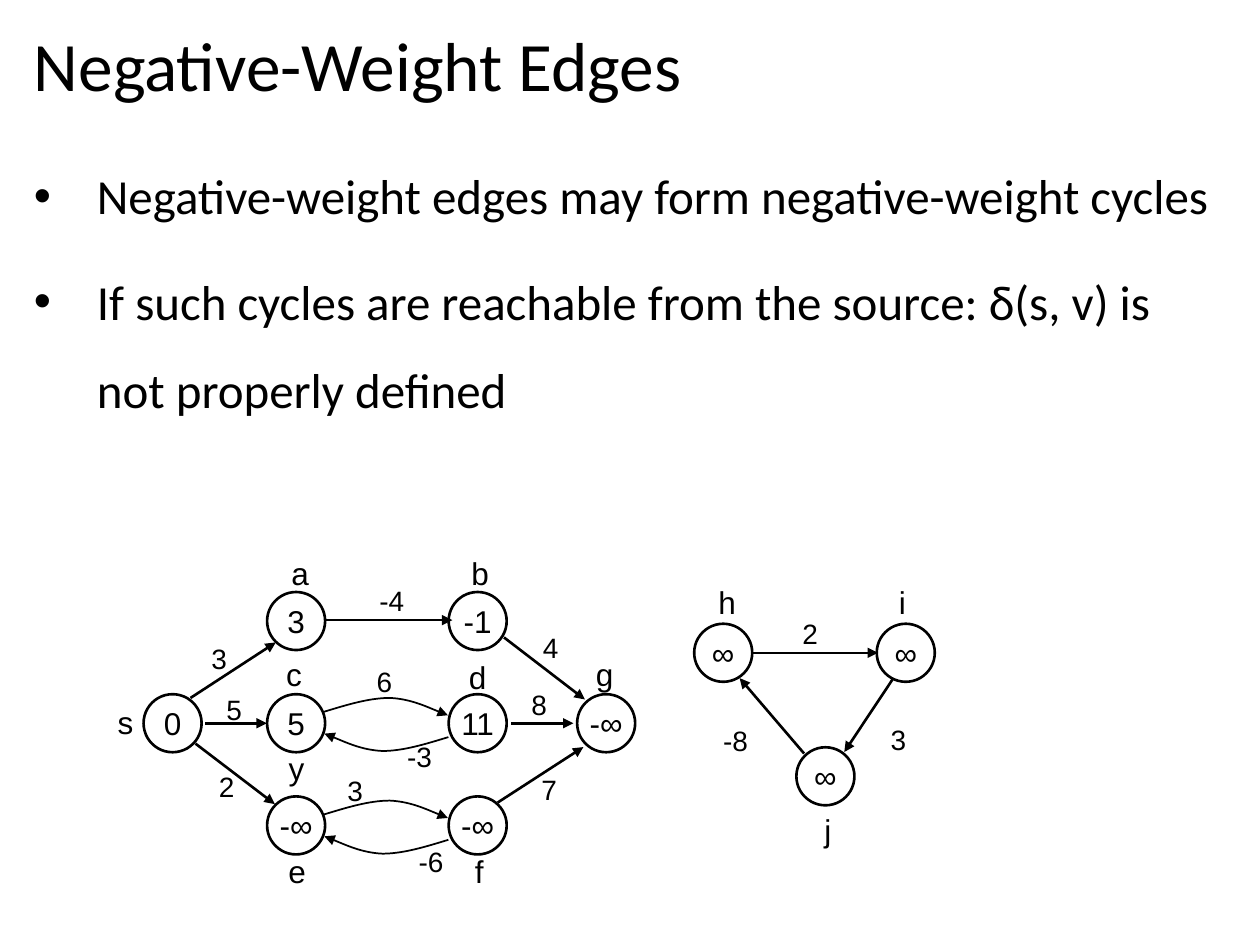
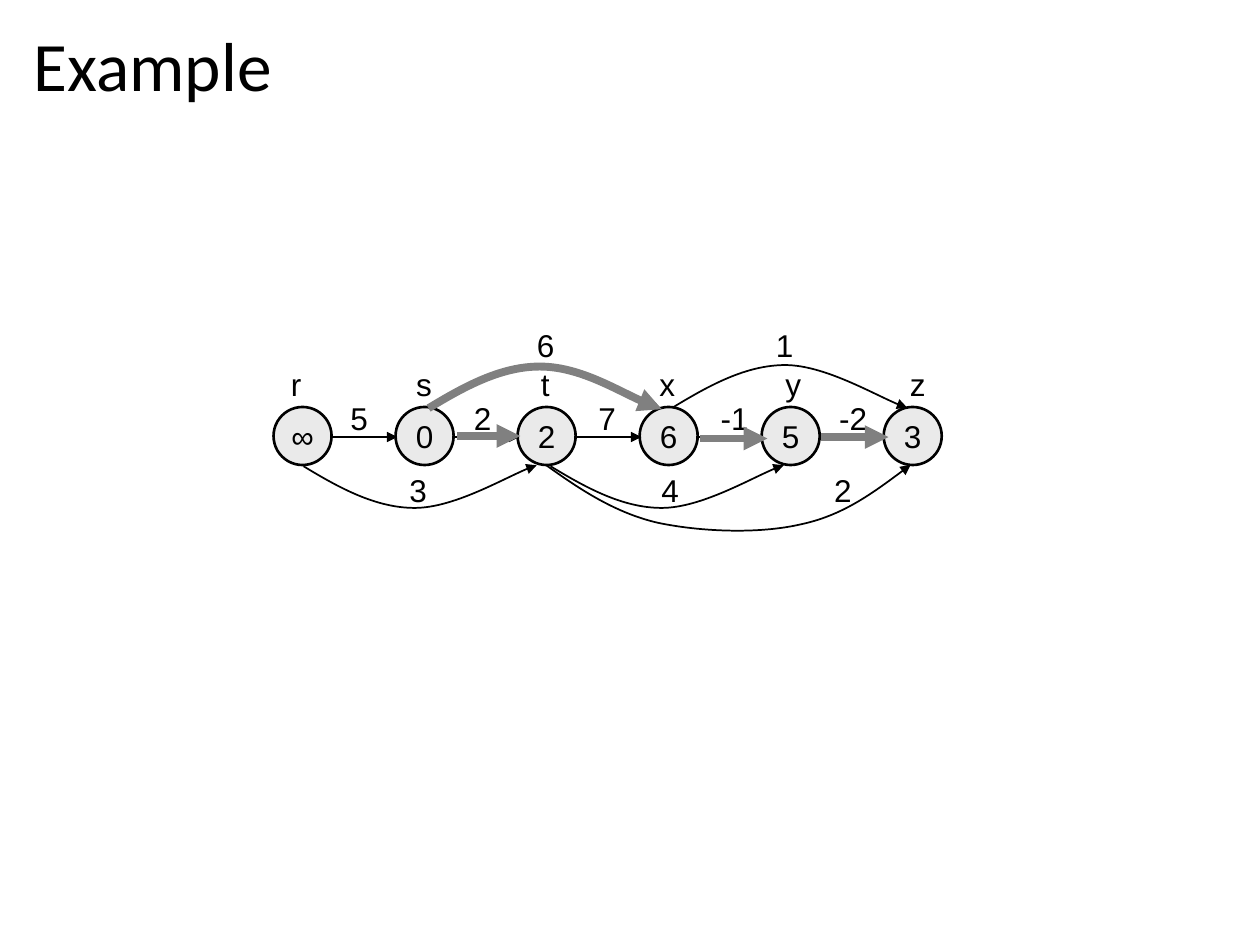
from lxml import etree
from pptx import Presentation, util as u
from pptx.dml.color import RGBColor
from pptx.enum import shapes, text
from pptx.oxml.ns import qn

# Shared look; all lengths are centimetres, sizes are points
BLACK, GREY, PALE = "000000", "808080", "EAEAEA"
TITLE_BOX = (0.43, 0.46, 24.43, 1.88)
BODY_BOX = (0.43, 2.62, 24.43, 14.55)
NODE = 1.17
TITLE_FONT = {"name": "Calibri", "size": u.Pt(39.6)}
BODY_FONT = {"name": "Calibri", "size": u.Pt(28)}

# Slide 1: negative-weight edges
POINTS = [
    "Negative-weight edges may form negative-weight cycles",
    "If such cycles are reachable from the source: δ(s, v) is not properly defined",
]
# (name, distance, node centre, name centre)
CYCLE_NODES = [
    ("s", "0", (3.48, 14.58), (2.53, 14.55)),
    ("a", "3", (5.97, 12.52), (6.05, 11.56)),
    ("b", "-1", (9.63, 12.52), (9.68, 11.56)),
    ("c", "5", (5.97, 14.58), (5.93, 13.59)),
    ("d", "11", (9.63, 14.58), (9.63, 13.64)),
    ("e", "-∞", (5.97, 16.64), (5.99, 17.55)),
    ("f", "-∞", (9.63, 16.64), (9.66, 17.55)),
    ("g", "-∞", (12.22, 14.58), (12.19, 13.59)),
    ("h", "∞", (14.58, 13.16), (14.66, 12.14)),
    ("i", "∞", (18.26, 13.16), (18.19, 12.14)),
    ("j", "∞", (16.64, 15.65), (16.69, 16.74)),
]
EXTRA_NAME = ("y", (5.98, 15.49))
# (weight, weight centre, start, end)
STRAIGHT_EDGES = [
    ("3", (4.42, 13.27), (3.84, 14.07), (5.56, 12.95)),
    ("5", (4.72, 14.29), (4.14, 14.58), (5.38, 14.58)),
    ("2", (4.57, 15.86), (3.94, 14.99), (5.54, 16.21)),
    ("-4", (7.9, 12.1), (6.55, 12.5), (9.12, 12.5)),
    ("4", (11.1, 13.04), (10.16, 12.85), (11.79, 14.1)),
    ("8", (10.87, 14.19), (10.31, 14.58), (11.56, 14.58)),
    ("7", (11.07, 15.91), (10.03, 16.18), (11.76, 15.06)),
    ("2", (16.33, 12.76), (15.14, 13.16), (17.7, 13.16)),
    ("3", (18.11, 14.9), (18.01, 13.67), (17.02, 15.16)),
    ("-8", (14.83, 14.92), (16.21, 15.19), (14.91, 13.67)),
]
# (weight, weight centre, start, direction); a return edge is the arc turned by 180°
CURVED_EDGES = [
    ("6", (7.75, 13.73), (6.53, 14.35), 1),
    ("-3", (8.46, 15.25), (9.04, 14.86), -1),
    ("3", (7.16, 15.94), (6.53, 16.42), 1),
    ("-6", (8.69, 17.36), (9.04, 16.93), -1),
]
SMALL_ARC = [(0, 0), (0.46, -0.14), (0.91, -0.28), (1.33, -0.28),
             (1.75, -0.26), (2.31, 0), (2.5, 0.07)]

# Slide 2: vertices in a row
ROW_X, ROW_Y, ROW_STEP = 6.1, 8.79, 2.46
# (name, distance, shift of the name from the node centre)
ROW_NODES = [("r", "∞", -0.13), ("s", "0", -0.01), ("t", "2", -0.03),
             ("x", "6", -0.03), ("y", "5", 0.05), ("z", "3", 0.1)]
# (weight, weight centre x) between neighbours
ROW_WEIGHTS = [("5", 7.24), ("2", 9.73), ("7", 12.24), ("-1", 14.81), ("-2", 17.2)]
# (weight, weight centre, start, side: 1 above, -1 below)
ROW_ARCS = [
    ("6", (11, 6.96), (8.61, 8.2), 1),
    ("1", (15.82, 6.96), (13.59, 8.2), 1),
    ("3", (8.43, 9.88), (6.12, 9.4), -1),
    ("4", (13.51, 9.88), (11.1, 9.4), -1),
]
BIG_ARC = [(0, 0), (0.71, -0.43), (1.45, -0.84), (2.24, -0.84),
           (3.02, -0.84), (4.29, -0.1), (4.7, 0.02)]
LONG_WEIGHT = ("2", (16.99, 9.88))
LONG_ARC = [(11, 9.37), (11.68, 9.86), (12.4, 10.34), (13.26, 10.54), (14.12, 10.72),
            (15.29, 10.77), (16.15, 10.57), (16.99, 10.39), (17.68, 9.88), (18.36, 9.37)]
TREE_ARC_START = (8.64, 8.23)
TREE_LINES = [((9.22, 8.79), (10.49, 8.79)), ((14.12, 8.84), (15.47, 8.84)),
              ((16.56, 8.81), (17.91, 8.81))]


def rgb(value):
    """Turn a hex string into a colour."""
    return RGBColor.from_string(value)


def apply(target, values):
    """Set attributes from a dict of format values."""
    for key, value in values.items():
        setattr(target, key, value)


def style_text(p, font):
    """Give a paragraph its font in black."""
    apply(p.font, font)
    p.font.color.rgb = rgb(BLACK)


def place(sp, box):
    """Move and size a placeholder."""
    apply(sp, dict(zip(("left", "top", "width", "height"), map(u.Cm, box))))


def centred(centre, width, height):
    """Return the box around a centre point, as lengths."""
    x, y = centre
    return [u.Cm(v) for v in (x - width / 2, y - height / 2, width, height)]


def write(sp, words, size):
    """Write one centred Arial line that does not wrap."""
    tf = sp.text_frame
    apply(tf, {"word_wrap": False, "vertical_anchor": text.MSO_ANCHOR.MIDDLE})
    p = tf.paragraphs[0]
    p.text, p.alignment = words, text.PP_ALIGN.CENTER
    style_text(p, {"name": "Arial", "size": u.Pt(size)})


def label(s, words, centre, size=18):
    """Add a vertex name or an edge weight around a point."""
    width = 0.65 + 0.21 * len(words)
    sp = s.shapes.add_textbox(*centred(centre, width, 1.02 if size == 18 else 0.94))
    write(sp, words, size)


def node(s, words, centre, fill=None):
    """Add a vertex circle with its distance."""
    sp = s.shapes.add_shape(shapes.MSO_SHAPE.OVAL, *centred(centre, NODE, NODE))
    sp.shadow.inherit = False
    if fill:
        sp.fill.solid()
        sp.fill.fore_color.rgb = rgb(fill)
    else:
        sp.fill.background()
    sp.line.color.rgb, sp.line.width = rgb(BLACK), u.Pt(1.5)
    write(sp, words, 18)


def arrow(s, points, width=1.0, color=BLACK):
    """Draw a straight arrow through two points, or Bezier curves through 3n + 1."""
    pts = [(u.Cm(x), u.Cm(y)) for x, y in points]
    if len(pts) == 2:
        sp = s.shapes.add_connector(shapes.MSO_CONNECTOR.STRAIGHT, *pts[0], *pts[1])
    else:
        builder = s.shapes.build_freeform(*pts[0])
        builder.add_line_segments(pts[1:], close=False)
        sp = builder.convert_to_shape()
        sp.fill.background()
        bend(sp)
    sp.line.color.rgb, sp.line.width = rgb(color), u.Pt(width)
    props = sp._element.spPr
    etree.SubElement(props.find(qn("a:ln")), qn("a:tailEnd"), type="triangle")
    etree.SubElement(props, qn("a:effectLst"))


def bend(sp):
    """Turn each three line segments of a freeform into one cubic curve."""
    outline = next(sp._element.iter(qn("a:path")))
    segments = outline.findall(qn("a:lnTo"))
    for i in range(0, len(segments), 3):
        curve = etree.SubElement(outline, qn("a:cubicBezTo"))
        for segment in segments[i:i + 3]:
            curve.append(segment[0])
            outline.remove(segment)


def shifted(arc, start, sx=1, sy=1):
    """Move an arc to its start, mirrored by the signs."""
    return [(start[0] + sx * x, start[1] + sy * y) for x, y in arc]


def new_slide(prs, layout, title):
    """Add a slide with the shared title style."""
    s = prs.slides.add_slide(prs.slide_layouts[layout])
    sp = s.shapes.title
    place(sp, TITLE_BOX)
    tf = sp.text_frame
    apply(tf, {"auto_size": text.MSO_AUTO_SIZE.NONE,
               "vertical_anchor": text.MSO_ANCHOR.MIDDLE})
    p = tf.paragraphs[0]
    p.text = title
    apply(p, {"alignment": text.PP_ALIGN.LEFT, "line_spacing": 0.9})
    style_text(p, TITLE_FONT)
    return s


def fill_body(s, lines):
    """Write the bullet list into the body placeholder."""
    sp = s.placeholders[1]
    place(sp, BODY_BOX)
    tf = sp.text_frame
    tf.auto_size = text.MSO_AUTO_SIZE.NONE
    tf.text = "\n".join(lines)
    for p in tf.paragraphs:
        apply(p, {"line_spacing": 1.5, "space_before": u.Pt(10)})
        style_text(p, BODY_FONT)
        props = p._p.get_or_add_pPr()
        props.set("marL", str(u.Cm(1.27)))
        props.set("indent", str(u.Cm(-1.27)))
        etree.SubElement(props, qn("a:buFont"), typeface="Arial")
        etree.SubElement(props, qn("a:buChar"), char="•")
        # The default run properties come after the bullet
        props.append(props.find(qn("a:defRPr")))


def edges_slide(prs):
    """Build the slide on negative-weight edges."""
    s = new_slide(prs, 1, "Negative-Weight Edges")
    fill_body(s, POINTS)
    for name, distance, centre, name_at in CYCLE_NODES:
        node(s, distance, centre)
        label(s, name, name_at)
    label(s, *EXTRA_NAME)
    for weight, at, start, end in STRAIGHT_EDGES:
        arrow(s, [start, end], 1.5)
        label(s, weight, at, 16)
    for weight, at, start, turn in CURVED_EDGES:
        arrow(s, shifted(SMALL_ARC, start, turn, turn))
        label(s, weight, at, 16)


def example_slide(prs):
    """Build the example with the shortest-path edges in grey."""
    s = new_slide(prs, 5, "Example")
    for i, (name, distance, dx) in enumerate(ROW_NODES):
        x = ROW_X + i * ROW_STEP
        node(s, distance, (x, ROW_Y), PALE)
        label(s, name, (x + dx, ROW_Y - 1.04))
    for i, (weight, at) in enumerate(ROW_WEIGHTS):
        x = ROW_X + i * ROW_STEP + 0.56
        arrow(s, [(x, ROW_Y + 0.02), (x + 1.35, ROW_Y + 0.02)])
        label(s, weight, (at, ROW_Y - 0.36))
    for weight, at, start, side in ROW_ARCS:
        arrow(s, shifted(BIG_ARC, start, 1, side))
        label(s, weight, at)
    arrow(s, LONG_ARC)
    label(s, *LONG_WEIGHT)
    for points in TREE_LINES + [shifted(BIG_ARC, TREE_ARC_START)]:
        arrow(s, points, 4.5, GREY)


prs = Presentation()
prs.slide_width, prs.slide_height = u.Cm(25.4), u.Cm(19.05)
edges_slide(prs)
example_slide(prs)
prs.save("out.pptx")
